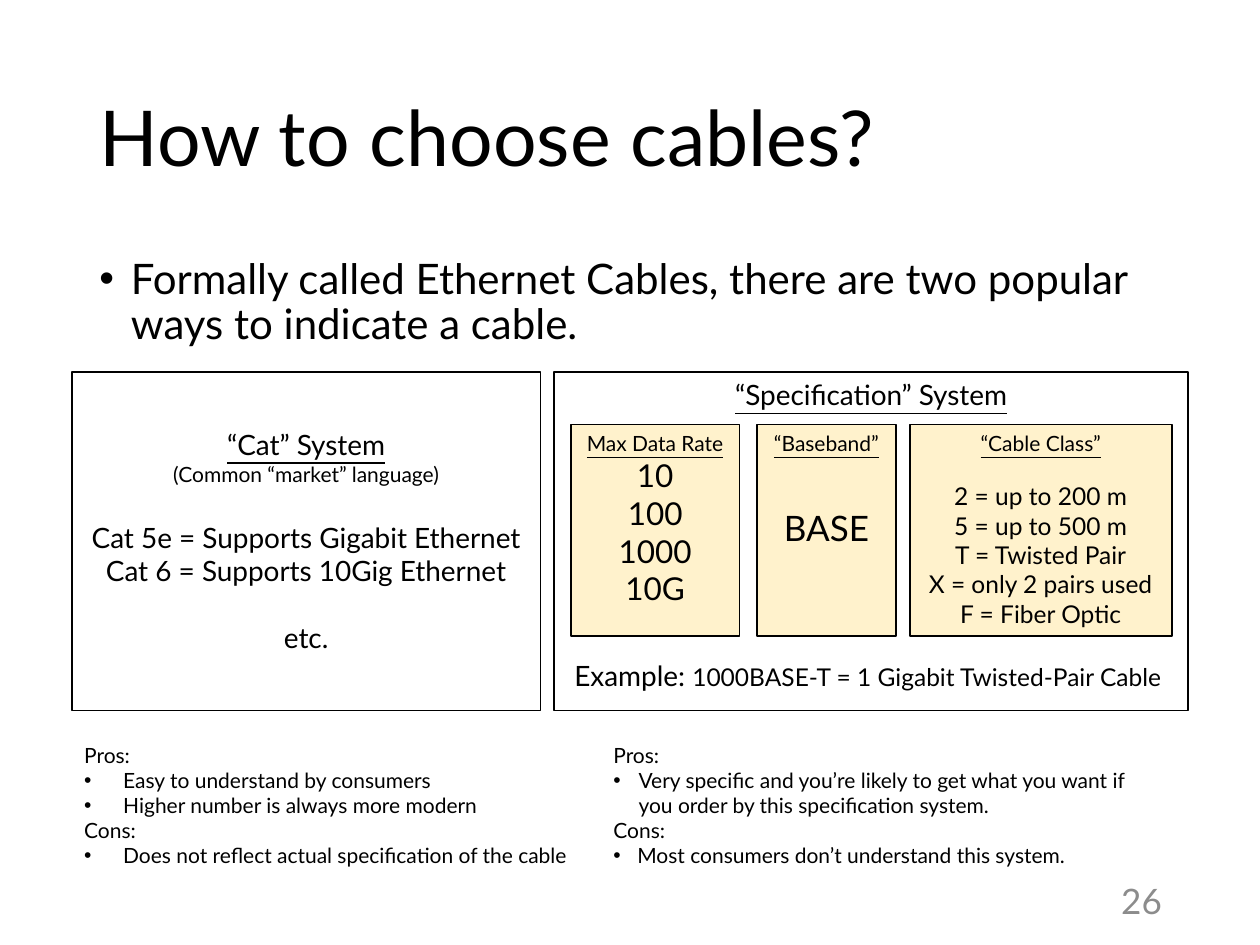
from dataclasses import dataclass

from lxml.etree import SubElement
from pptx import Presentation
from pptx.dml.color import RGBColor
from pptx.enum.shapes import MSO_SHAPE
from pptx.enum.text import MSO_ANCHOR as Anchor, MSO_AUTO_SIZE as AutoSize, PP_ALIGN as Align
from pptx.oxml.ns import qn
from pptx.slide import Slide
from pptx.text.text import TextFrame
from pptx.util import Inches, Pt

FONT = "Lato"
COLORS = {"black": "000000", "white": "FFFFFF", "cream": "FFF2CC", "gray": "8C8C8C"}
LINE_HEIGHT = 1.2  # line pitch relative to the font size


@dataclass
class Span:
    text: str
    size: float
    underline: bool = False
    color: str = "black"


@dataclass
class Line:
    spans: list[Span]
    align: Align = Align.LEFT
    before: float = 0  # points
    indent: float = 0  # inches; a hanging bullet when above zero
    spacing: float = 1.0


@dataclass
class Area:
    left: float
    top: float
    width: float
    height: float

    def lengths(self) -> list[int]:
        return [Inches(v) for v in (self.left, self.top, self.width, self.height)]


@dataclass
class Panel:
    area: Area
    fill: str
    lines: list[Line]
    anchor: Anchor = Anchor.TOP


def centered(text: str, size: float, underline: bool = False, gap: float = 0) -> Line:
    """A centred line, with a gap above as high as a line of that many points."""
    return Line([Span(text, size, underline)], Align.CENTER, gap * LINE_HEIGHT)


def note(text: str, indent: float = 0) -> Line:
    return Line([Span(text, 12)], indent=indent)


def write(frame: TextFrame, lines: list[Line], anchor: Anchor = Anchor.TOP) -> None:
    frame.vertical_anchor = anchor
    for index, line in enumerate(lines):
        para = frame.add_paragraph() if index else frame.paragraphs[0]
        para.alignment = line.align
        para.line_spacing = line.spacing
        para.space_before = Pt(line.before)
        if line.indent:
            props = para._p.get_or_add_pPr()
            props.set("marL", str(Inches(line.indent)))
            props.set("indent", str(-Inches(line.indent)))
            SubElement(props, qn("a:buFont"), typeface="Arial")
            SubElement(props, qn("a:buChar"), char="•")
        for item in line.spans:
            span = para.add_run()
            span.text = item.text
            span.font.name = FONT
            span.font.size = Pt(item.size)
            span.font.underline = item.underline
            span.font.color.rgb = RGBColor.from_string(COLORS[item.color])


def add_text(page: Slide, area: Area, lines: list[Line],
             anchor: Anchor = Anchor.TOP, wrap: bool = True) -> None:
    frame = page.shapes.add_textbox(*area.lengths()).text_frame
    frame.word_wrap = wrap
    frame.auto_size = AutoSize.NONE if wrap else AutoSize.SHAPE_TO_FIT_TEXT
    write(frame, lines, anchor)


def add_panel(page: Slide, panel: Panel) -> None:
    box = page.shapes.add_shape(MSO_SHAPE.RECTANGLE, *panel.area.lengths())
    box.shadow.inherit = False
    box.fill.solid()
    box.fill.fore_color.rgb = RGBColor.from_string(COLORS[panel.fill])
    box.line.color.rgb = RGBColor.from_string(COLORS["black"])
    box.line.width = Pt(1)
    box.text_frame.word_wrap = True
    write(box.text_frame, panel.lines, panel.anchor)


SYSTEM_TOP, SYSTEM_HEIGHT = 2.95, 2.69
PART_TOP, PART_HEIGHT = 3.37, 1.68
NOTES_TOP, NOTES_HEIGHT = 5.84, 1.11

PANELS = [
    # The two naming systems
    Panel(Area(0.57, SYSTEM_TOP, 3.72, SYSTEM_HEIGHT), "white", [
        centered("“Cat” System", 16, underline=True),
        centered("(Common “market” language)", 12),
        centered("Cat 5e = Supports Gigabit Ethernet", 16, gap=16),
        centered("Cat 6 = Supports 10Gig Ethernet", 16),
        centered("etc.", 16, gap=16),
    ], Anchor.MIDDLE),
    Panel(Area(4.4, SYSTEM_TOP, 5.03, SYSTEM_HEIGHT), "white",
          [centered("“Specification” System", 16, underline=True)]),
    # The parts of a specification name
    Panel(Area(4.53, PART_TOP, 1.34, PART_HEIGHT), "cream",
          [centered("Max Data Rate", 12, underline=True)]
          + [centered(rate, 18) for rate in ("10", "100", "1000", "10G")]),
    Panel(Area(6.01, PART_TOP, 1.1, PART_HEIGHT), "cream",
          [centered("“Baseband”", 12, underline=True), centered("BASE", 20, gap=24)]),
    Panel(Area(7.22, PART_TOP, 2.08, PART_HEIGHT), "cream", [
        centered("“Cable Class”", 12, underline=True),
        centered("2 = up to 200 m", 14, gap=12),
        centered("5 = up to 500 m", 14),
        centered("T = Twisted Pair", 14),
        centered("X = only 2 pairs used", 14),
        centered("F = Fiber Optic", 14),
    ]),
]


def main() -> None:
    deck = Presentation()
    deck.slide_width, deck.slide_height = Inches(10), Inches(7.5)
    page = deck.slides.add_slide(deck.slide_layouts[5])

    # Title and introduction
    title = page.shapes.title
    title.left, title.top, title.width, title.height = Area(0.69, 0.4, 8.62, 1.45).lengths()
    write(title.text_frame, [Line([Span("How to choose cables?", 44)], spacing=0.9)],
          Anchor.MIDDLE)
    intro = "Formally called Ethernet Cables, there are two popular ways to indicate a cable."
    add_text(page, Area(0.69, 2, 8.62, 1.06),
             [Line([Span(intro, 24)], indent=0.25, spacing=0.9)])

    for panel in PANELS:
        add_panel(page, panel)

    # Example of a specification name
    add_text(page, Area(4.46, 5.18, 4.9, 0.37), [Line([
        Span("Example: ", 16),
        Span("1000BASE-T = 1 Gigabit Twisted-Pair Cable", 14),
    ])])

    # Pros and cons
    add_text(page, Area(0.57, NOTES_TOP, 4.06, NOTES_HEIGHT), [
        note("Pros:"),
        note("Easy to understand by consumers", 0.31),
        note("Higher number is always more modern", 0.31),
        note("Cons:"),
        note("Does not reflect actual specification of the cable", 0.31),
    ], wrap=False)
    add_text(page, Area(4.77, NOTES_TOP, 4.53, NOTES_HEIGHT), [
        note("Pros:"),
        note("Very specific and you’re likely to get what you want if "
             "you order by this specification system.", 0.2),
        note("Cons:"),
        note("Most consumers don’t understand this system.", 0.19),
    ])

    # Page number
    add_text(page, Area(8.65, 6.95, 0.67, 0.4),
             [Line([Span("26", 20, color="gray")], Align.RIGHT)], Anchor.MIDDLE)

    deck.save("out.pptx")


if __name__ == "__main__":
    main()
